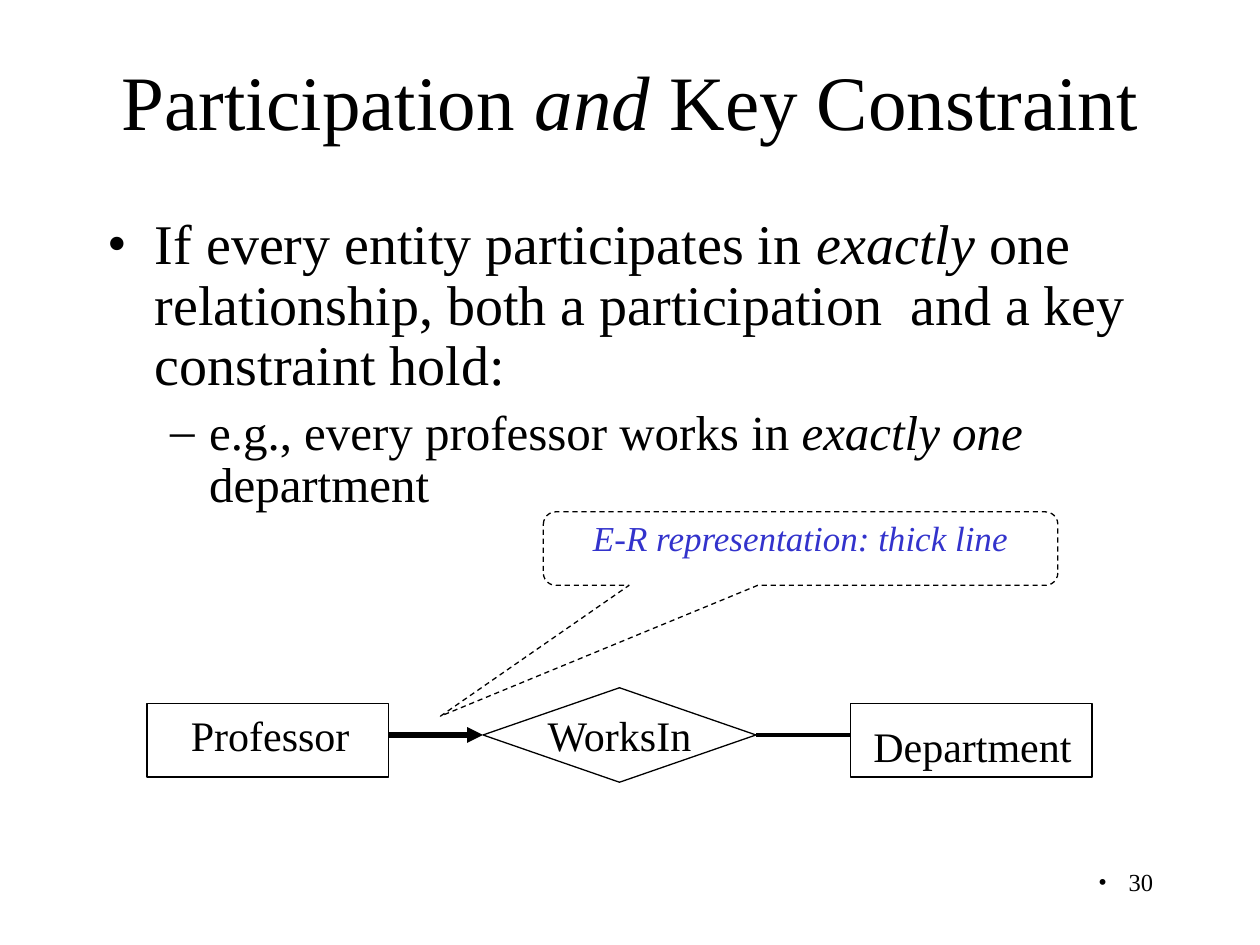
from dataclasses import dataclass

from lxml.etree import SubElement
from pptx import Presentation
from pptx.dml.color import RGBColor
from pptx.enum.dml import MSO_LINE
from pptx.enum.shapes import MSO_CONNECTOR, MSO_SHAPE
from pptx.enum.text import MSO_ANCHOR, MSO_AUTO_SIZE, PP_ALIGN
from pptx.oxml.ns import qn
from pptx.util import Inches, Pt


@dataclass(frozen=True)
class Theme:
    """Colours, font and type sizes of the deck."""
    ink: RGBColor = RGBColor(0, 0, 0)
    accent: RGBColor = RGBColor(0x33, 0x33, 0xCC)
    font: str = "Times New Roman"
    title: int = 44
    body: int = 32
    detail: int = 28
    label: int = 24
    note: int = 20
    number: int = 14
    outline: float = 0.75


class SlideBuilder:
    """Draws elements on one slide, on a grid of 120 columns by 90 rows."""

    def __init__(self, deck, theme):
        """Add a title and content slide to the deck."""
        self.theme = theme
        self.cell = deck.slide_width / 120
        self.page = deck.slides.add_slide(deck.slide_layouts[1])

    def grid(self, *cells):
        """Turn grid counts into lengths."""
        return [round(count * self.cell) for count in cells]

    def fill_para(self, para, text, size, color=None, align=None, tight=False, bullet=None):
        """Fill a paragraph, with the parts between asterisks in italics."""
        for index, part in enumerate(text.split("*")):
            if part:
                span = para.add_run()
                span.text = part
                if index % 2:
                    span.font.italic = True
        para.alignment = align
        if tight:
            para.line_spacing = 0.9
            para.space_before = Pt(size * 0.2)
        if bullet:
            self.mark(para, *bullet)
        para.font.name = self.theme.font
        para.font.size = Pt(size)
        para.font.color.rgb = color or self.theme.ink

    def mark(self, para, sign, margin, hanging):
        """Give a paragraph a hanging bullet."""
        properties = para._p.get_or_add_pPr()
        properties.set("marL", str(Inches(margin)))
        properties.set("indent", str(-Inches(hanging)))
        SubElement(properties, qn("a:buFont"), typeface=self.theme.font)
        SubElement(properties, qn("a:buChar"), char=sign)

    def place(self, holder, cells):
        """Move a placeholder and return its text frame."""
        holder.left, holder.top, holder.width, holder.height = self.grid(*cells)
        holder.text_frame.auto_size = MSO_AUTO_SIZE.NONE
        return holder.text_frame

    def title(self, text, cells):
        """Fill the slide title."""
        frame = self.place(self.page.shapes.title, cells)
        frame.vertical_anchor = MSO_ANCHOR.MIDDLE
        self.fill_para(frame.paragraphs[0], text, self.theme.title, align=PP_ALIGN.CENTER)

    def body(self, items, cells):
        """Fill the bulleted list, one level per item."""
        frame = self.place(self.page.placeholders[1], cells)
        for level, (text, size, bullet) in enumerate(items):
            para = frame.add_paragraph() if level else frame.paragraphs[0]
            para.level = level
            self.fill_para(para, text, size, tight=True, bullet=bullet)

    def text(self, text, cells, size, wrap=False, **style):
        """Add a text box."""
        box = self.page.shapes.add_textbox(*self.grid(*cells))
        box.text_frame.word_wrap = wrap
        if not wrap:
            box.text_frame.auto_size = MSO_AUTO_SIZE.SHAPE_TO_FIT_TEXT
        self.fill_para(box.text_frame.paragraphs[0], text, size, **style)

    def shape(self, kind, cells):
        """Add an unfilled outline shape."""
        box = self.page.shapes.add_shape(kind, *self.grid(*cells))
        box.shadow.inherit = False
        box.fill.background()
        box.line.color.rgb = self.theme.ink
        box.line.width = Pt(self.theme.outline)
        return box

    def diamond(self, text, cells):
        """Add a relationship diamond."""
        box = self.shape(MSO_SHAPE.DIAMOND, cells)
        box.text_frame.word_wrap = False
        box.text_frame.vertical_anchor = MSO_ANCHOR.MIDDLE
        self.fill_para(box.text_frame.paragraphs[0], text, self.theme.label,
                       align=PP_ALIGN.CENTER)
        return box

    def callout(self, text, cells, adjustments):
        """Add a dashed callout with its note."""
        box = self.shape(MSO_SHAPE.ROUNDED_RECTANGULAR_CALLOUT, cells)
        for index, value in enumerate(adjustments):
            box.adjustments[index] = value
        box.line.dash_style = MSO_LINE.DASH
        box.text_frame.vertical_anchor = MSO_ANCHOR.TOP
        self.fill_para(box.text_frame.paragraphs[0], text, self.theme.note,
                       color=self.theme.accent, align=PP_ALIGN.CENTER, tight=True)

    def link(self, start, target, side, width, arrow=False):
        """Draw a line from a grid point to one side of a shape."""
        point = self.grid(*start)
        line = self.page.shapes.add_connector(MSO_CONNECTOR.STRAIGHT, *point, *point)
        line.end_connect(target, side)
        line.line.color.rgb = self.theme.ink
        line.line.width = Pt(width)
        if arrow:
            SubElement(line.line._get_or_add_ln(), qn("a:tailEnd"), type="triangle")
        SubElement(line._element.spPr, qn("a:effectLst"))


def main():
    """Build and save the deck."""
    deck = Presentation()
    deck.slide_width, deck.slide_height = Inches(10), Inches(7.5)
    theme = Theme()
    slide = SlideBuilder(deck, theme)

    slide.title("Participation *and* Key Constraint", (9, 4, 102, 11))
    slide.body([
        ("If every entity participates in *exactly* one relationship, "
         "both a participation  and a key constraint hold:", theme.body, ("•", 0.38, 0.38)),
        ("e.g., every professor works in *exactly one* department",
         theme.detail, ("–", 0.81, 0.31)),
    ], (9, 20, 102, 33))
    slide.text("30", (86, 82, 25, 6), theme.number, wrap=True,
               align=PP_ALIGN.RIGHT, bullet=("•", 0.24, 0.24))

    for left in (14, 81):
        slide.shape(MSO_SHAPE.RECTANGLE, (left, 67, 23, 7))
    works_in = slide.diamond("WorksIn", (46, 65.5, 26, 9))
    slide.text("Professor", (17, 67, 17.5, 6), theme.label)
    slide.text("Department", (82, 68, 21.25, 6), theme.label)
    slide.link((81, 70), works_in, 3, 2.25)
    slide.link((37, 70), works_in, 1, 3, arrow=True)
    slide.callout("*E-R representation: thick line*", (51.75, 48.75, 49, 7), (-0.7, 2.28, 0.17))

    deck.save("out.pptx")


if __name__ == "__main__":
    main()
